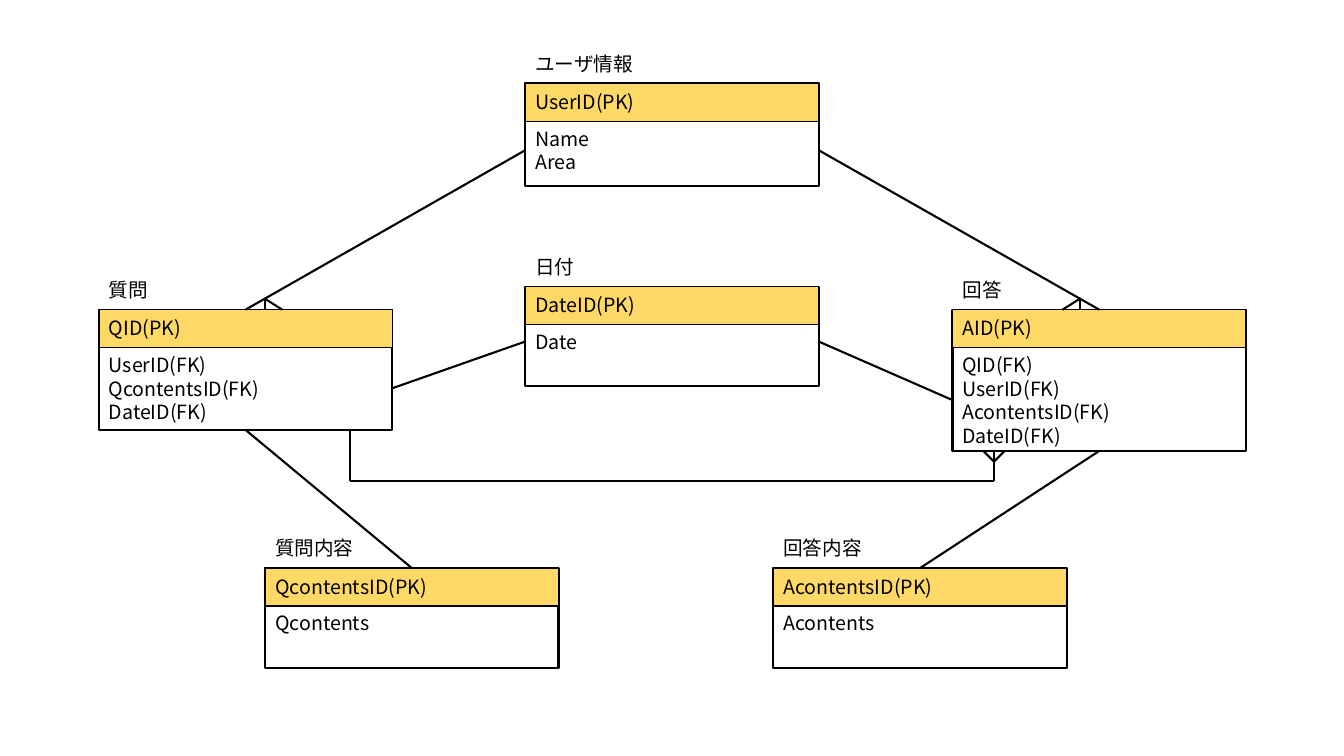
"""Builds an entity-relationship slide for a question and answer service."""
from dataclasses import dataclass

from lxml import etree
from pptx import Presentation
from pptx.dml.color import RGBColor
from pptx.enum.shapes import MSO_CONNECTOR, MSO_SHAPE
from pptx.enum.text import MSO_AUTO_SIZE
from pptx.oxml.ns import qn
from pptx.util import Pt

RECTANGLE = MSO_SHAPE.RECTANGLE
STRAIGHT = MSO_CONNECTOR.STRAIGHT
GROW = MSO_AUTO_SIZE.SHAPE_TO_FIT_TEXT


@dataclass(frozen=True)
class Theme:
    """Colours, type and line weights of the slide."""
    ink: RGBColor = RGBColor(0x00, 0x00, 0x00)
    paper: RGBColor = RGBColor(0xFF, 0xFF, 0xFF)
    key: RGBColor = RGBColor(0xFF, 0xD9, 0x66)
    font: str = "Noto Sans CJK JP"
    size: float = 14
    leading: float = 16.9
    inset: float = 3.6
    outline: float = 1.5
    divider: float = 1


THEME = Theme()
ENTITY_WIDTH = 209.6
KEY_HEIGHT = 27.2
CAPTION_RISE = 26.3
KEY_TEXT_DROP = 1.1


def text_height(lines):
    """Return the height of a text box that holds the lines."""
    return 2 * THEME.inset + THEME.leading * len(lines)


@dataclass(frozen=True)
class Entity:
    """One entity box with the points where relations meet it."""
    caption: str
    key: str
    fields: tuple
    left: float
    top: float
    height: float

    @property
    def right(self):
        """Return the right edge."""
        return self.left + ENTITY_WIDTH

    @property
    def bottom(self):
        """Return the bottom edge."""
        return self.top + self.height

    @property
    def middle(self):
        """Return the horizontal centre."""
        return self.left + ENTITY_WIDTH / 2

    @property
    def field_middle(self):
        """Return the vertical centre of the field list."""
        return self.top + KEY_HEIGHT + text_height(self.fields) / 2


USER = Entity("ユーザ情報", "UserID(PK)", ("Name", "Area"), 375.2, 59.6, 73.6)
DATE = Entity("日付", "DateID(PK)", ("Date",), 375.2, 204.7, 71.3)
QUESTION = Entity("質問", "QID(PK)", ("UserID(FK)", "QcontentsID(FK)", "DateID(FK)"),
                  70.6, 221.2, 85.9)
ANSWER = Entity("回答", "AID(PK)",
                ("QID(FK)", "UserID(FK)", "AcontentsID(FK)", "DateID(FK)"),
                680.4, 221.2, 100.9)
QUESTION_BODY = Entity("質問内容", "QcontentsID(PK)", ("Qcontents",), 189.4, 405.8, 71.3)
ANSWER_BODY = Entity("回答内容", "AcontentsID(PK)", ("Acontents",), 552.4, 405.8, 71.3)
ENTITIES = (ANSWER, USER, QUESTION_BODY, DATE, QUESTION, ANSWER_BODY)

LINK_Y = 343.5
LINK_QUESTION_X = 249.9
LINK_ANSWER_X = 710

RELATIONS = (
    ((USER.left, USER.field_middle), (QUESTION.middle, QUESTION.top)),
    ((DATE.left, DATE.field_middle), (QUESTION.right, QUESTION.field_middle)),
    ((USER.right, USER.field_middle), (ANSWER.middle, ANSWER.top)),
    ((ANSWER.left, ANSWER.field_middle), (DATE.right, DATE.field_middle)),
    ((QUESTION.middle, QUESTION.bottom), (QUESTION_BODY.middle, QUESTION_BODY.top)),
    ((ANSWER.middle, ANSWER.bottom), (ANSWER_BODY.middle, ANSWER_BODY.top)),
    ((LINK_ANSWER_X, LINK_Y), (LINK_QUESTION_X, LINK_Y)),
    ((LINK_ANSWER_X, LINK_Y), (LINK_ANSWER_X, ANSWER.bottom)),
    ((LINK_QUESTION_X, LINK_Y), (LINK_QUESTION_X, QUESTION.bottom)),
)
CROW_FEET = (
    ((LINK_ANSWER_X, 329.8), ANSWER.bottom, (-7.6, 7.6)),
    ((189.4, 213.5), QUESTION.top, (0, 12.2)),
    ((771.2, 213.5), ANSWER.top, (0, -12.2)),
)


def apply_format(target, values):
    """Set every named attribute of the target."""
    for name, value in values.items():
        setattr(target, name, value)


def add_panel(shapes, entity, height, fill, weight):
    """Add a filled rectangle at the top of an entity."""
    panel = shapes.add_shape(RECTANGLE, Pt(entity.left), Pt(entity.top),
                             Pt(ENTITY_WIDTH), Pt(height))
    panel.shadow.inherit = False
    panel.fill.solid()
    panel.fill.fore_color.rgb = fill
    panel.line.color.rgb = THEME.ink
    panel.line.width = Pt(weight)


def add_text(shapes, left, top, lines):
    """Add a text box with one paragraph for each line."""
    box = shapes.add_textbox(Pt(left), Pt(top), Pt(ENTITY_WIDTH), Pt(text_height(lines)))
    frame = box.text_frame
    apply_format(frame, {"word_wrap": True, "auto_size": GROW})
    for index, line in enumerate(lines):
        para = frame.add_paragraph() if index else frame.paragraphs[0]
        para.line_spacing = Pt(THEME.leading)
        span = para.add_run()
        span.text = line
        span.font.color.rgb = THEME.ink
        apply_format(span.font, {"size": Pt(THEME.size), "name": THEME.font})
        properties = span.font._element
        etree.SubElement(properties, qn("a:ea")).set("typeface", THEME.font)


def add_entity(page, entity):
    """Add the grouped panels and texts of an entity."""
    shapes = page.shapes.add_group_shape().shapes
    add_panel(shapes, entity, entity.height, THEME.paper, THEME.outline)
    add_panel(shapes, entity, KEY_HEIGHT, THEME.key, THEME.divider)
    texts = (
        (-CAPTION_RISE, (entity.caption,)),
        (KEY_TEXT_DROP, (entity.key,)),
        (KEY_HEIGHT, entity.fields),
    )
    for drop, lines in texts:
        add_text(shapes, entity.left, entity.top + drop, lines)


def add_line(page, start, end):
    """Add a straight line between two points."""
    line = page.shapes.add_connector(STRAIGHT, *map(Pt, start + end))
    line.line.color.rgb = THEME.ink
    line.line.width = Pt(THEME.outline)
    etree.SubElement(line._element.spPr, qn("a:effectLst"))


def add_crow_foot(page, apex, edge, spread):
    """Add the toes that run from an apex to the edge of an entity."""
    for offset in spread:
        add_line(page, apex, (apex[0] + offset, edge))


def main():
    """Build the slide and save the deck."""
    deck = Presentation()
    apply_format(deck, {"slide_width": Pt(960), "slide_height": Pt(540)})
    page = deck.slides.add_slide(deck.slide_layouts[6])
    for entity in ENTITIES:
        add_entity(page, entity)
    for start, end in RELATIONS:
        add_line(page, start, end)
    for apex, edge, spread in CROW_FEET:
        add_crow_foot(page, apex, edge, spread)
    deck.save("out.pptx")


if __name__ == "__main__":
    main()
